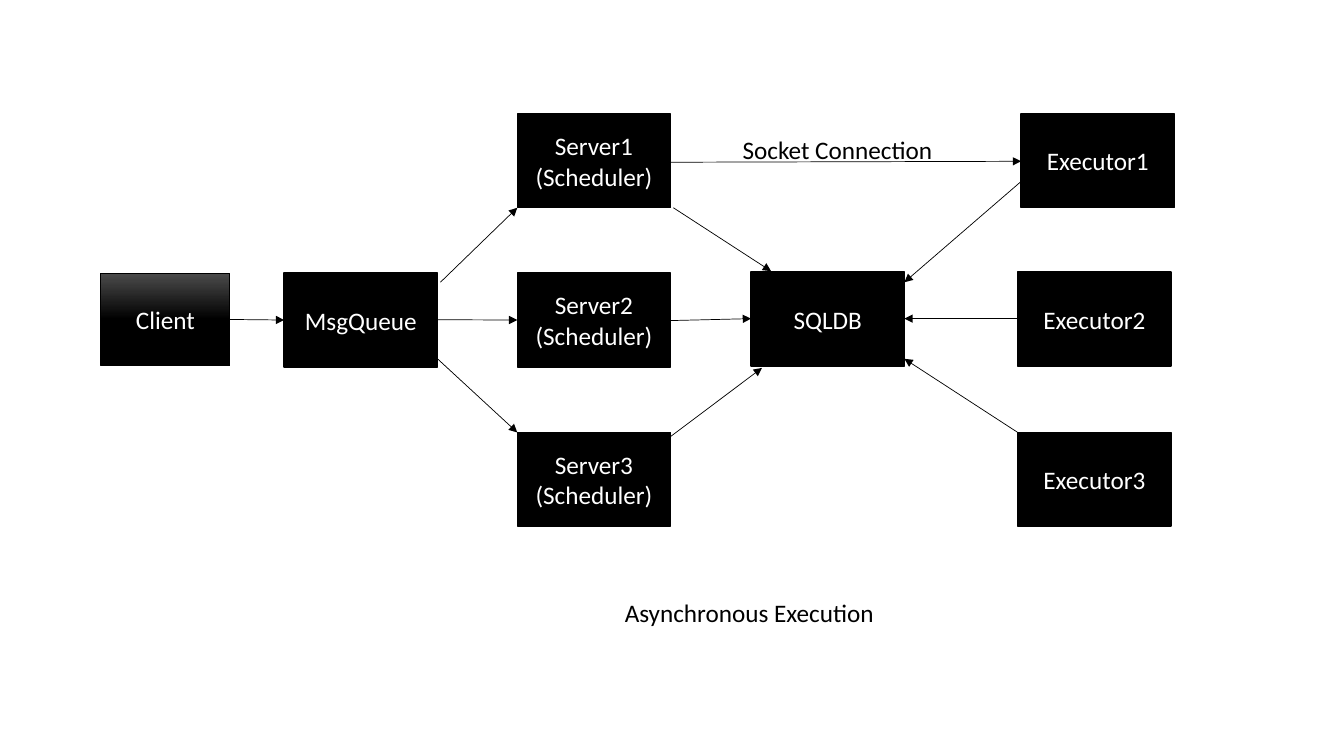
from lxml import etree
from pptx import Presentation
from pptx.dml.color import RGBColor
from pptx.enum.shapes import MSO_CONNECTOR as CONN, MSO_SHAPE as SHAPE
from pptx.enum.text import MSO_ANCHOR as ANCHOR, MSO_AUTO_SIZE as AUTO, PP_ALIGN as ALIGN
from pptx.oxml.ns import qn
from pptx.util import Pt

BLACK, WHITE, GREY = "000000", "FFFFFF", "4B4B4B"


def rgb(value):
    return RGBColor.from_string(value)


def write(tf, text, size=18, font="Calibri", color=BLACK, align=ALIGN.LEFT):
    """Fill a text frame, one paragraph per line of text."""
    for i, line in enumerate(text.split("\n")):
        p = tf.paragraphs[0] if i == 0 else tf.add_paragraph()
        p.alignment = align
        r = p.add_run()
        r.text = line
        r.font.size, r.font.name = Pt(size), font
        r.font.color.rgb = rgb(color)


prs = Presentation()
prs.slide_width, prs.slide_height = Pt(960), Pt(540)
s = prs.slides.add_slide(prs.slide_layouts[6])

# Boxes: columns from left to right, three rows
BOX_W, BOX_H = 109.5, 67
QUEUE_X, SERVER_X, DB_X, EXECUTOR_X = 203, 369.5, 536.5, 727
ROWS = [81.4, 195.1, 308.9]
MIDDLE = 194.4

boxes = [
    ("Client", 72, 195.1, 92.2, 66.2),
    ("MsgQueue", QUEUE_X, ROWS[1], BOX_W, BOX_H),
    ("SQLDB", DB_X, MIDDLE, BOX_W, BOX_H),
    ("Executor1", EXECUTOR_X + 2.4, ROWS[0], BOX_W, BOX_H),
    ("Executor2", EXECUTOR_X, MIDDLE, BOX_W, BOX_H),
    ("Executor3", EXECUTOR_X, ROWS[2], BOX_W, BOX_H),
]
for n, y in enumerate(ROWS, 1):
    boxes.append((f"Server{n}\n(Scheduler)", SERVER_X, y, BOX_W, BOX_H))

for text, x, y, w, h in boxes:
    sp = s.shapes.add_shape(SHAPE.RECTANGLE, Pt(x), Pt(y), Pt(w), Pt(h))
    sp.shadow.inherit = False
    sp.line.color.rgb = rgb(BLACK)
    if text == "Client":
        sp.line.width = Pt(0.5)
        sp.fill.gradient()
        sp.fill.gradient_angle = 270
        for stop, position, color in zip(sp.fill.gradient_stops, (0, 0.5), (GREY, BLACK)):
            stop.position = position
            stop.color.rgb = rgb(color)
    else:
        sp.line.width = Pt(1)
        sp.fill.solid()
        sp.fill.fore_color.rgb = rgb(BLACK)
    sp.text_frame.word_wrap = True
    sp.text_frame.vertical_anchor = ANCHOR.MIDDLE
    write(sp.text_frame, text, color=WHITE, align=ALIGN.CENTER)

# Arrows: start x, y and end x, y
QUEUE_R, SERVER_R, DB_R = QUEUE_X + BOX_W, SERVER_X + BOX_W, DB_X + BOX_W
arrows = [
    (164.2, 228.2, QUEUE_X, 228.6),
    (QUEUE_R, 228.4, SERVER_X, 228.6),
    (314.6, 201.6, SERVER_X, 148.4),
    (QUEUE_R, 256.3, SERVER_X, 308.9),
    (SERVER_R, 229, DB_X, 227.6),
    (729.4, 129.6, DB_R, 201.6),
    (EXECUTOR_X, 227.6, DB_R, 227.6),
    (EXECUTOR_X, 308.9, DB_R, 256.3),
    (481, 148.4, 550.8, 193.7),
    (478.1, 312.5, 544.3, 262.8),
    (478.1, 115.9, 729.4, 115.2),
]
for points in arrows:
    line = s.shapes.add_connector(CONN.STRAIGHT, *map(Pt, points))
    line.line.width = Pt(0.5)
    line.line.color.rgb = rgb(BLACK)
    etree.SubElement(line.line._get_or_add_ln(), qn("a:tailEnd"), type="triangle")
    etree.SubElement(line._element.spPr, qn("a:effectLst"))

# Labels
for text, x, y, w in [("Socket Connection", 523.4, 92.2, 152),
                      ("Asynchronous Execution", 439.2, 423.4, 194.4)]:
    tf = s.shapes.add_textbox(Pt(x), Pt(y), Pt(w), Pt(29)).text_frame
    tf.word_wrap = False
    tf.auto_size = AUTO.SHAPE_TO_FIT_TEXT
    write(tf, text)

prs.save("out.pptx")
